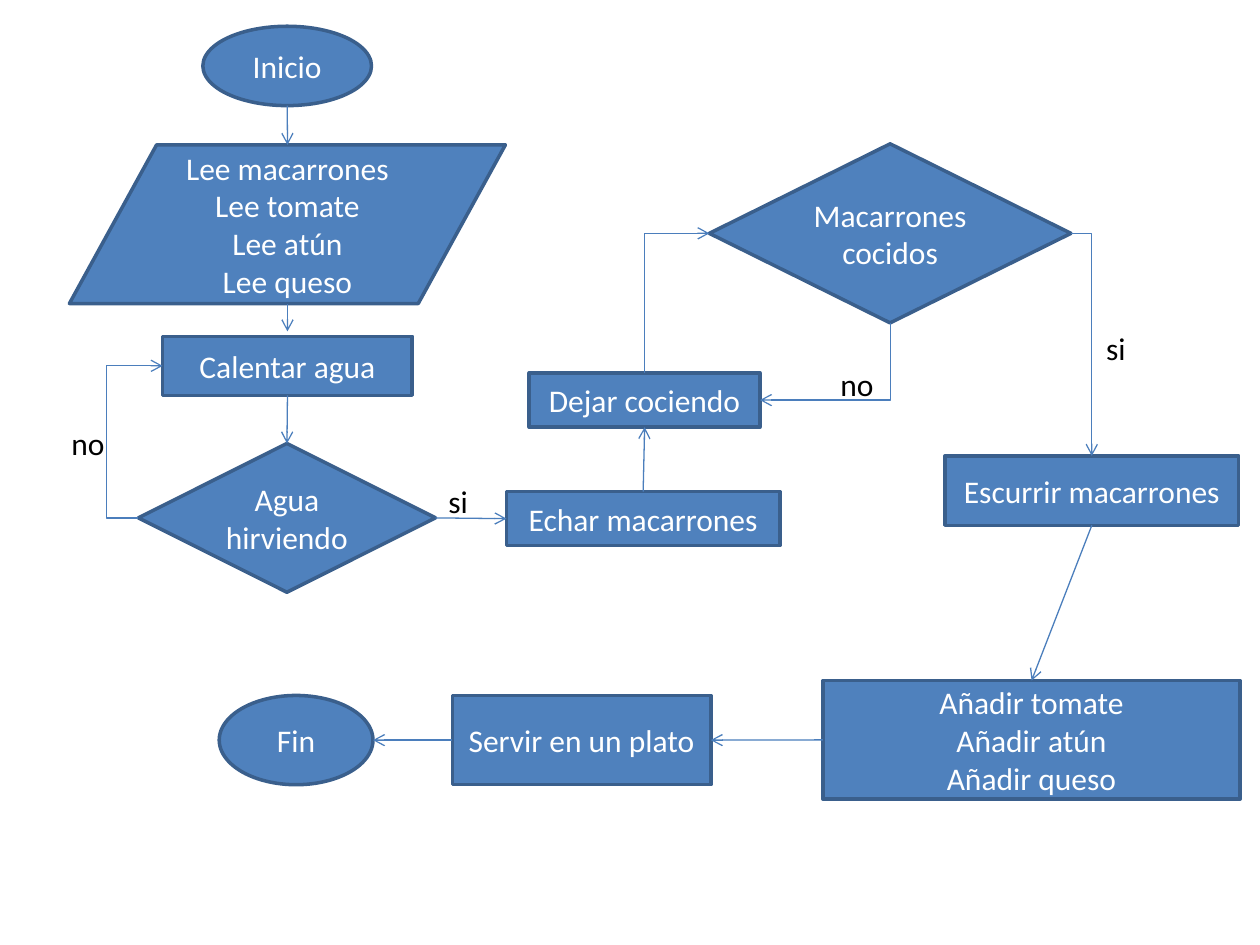
from lxml.etree import SubElement
from pptx import Presentation
from pptx.dml.color import RGBColor
from pptx.enum.shapes import MSO_CONNECTOR, MSO_SHAPE
from pptx.enum.text import MSO_ANCHOR, PP_ALIGN
from pptx.oxml.ns import qn
from pptx.util import Cm, Pt

THEME = {
    "font": "Calibri", "size": Pt(18),
    "fill": "4F81BD", "edge": "3A5F8C", "arrow": "4B7EBC",
    "light": "FFFFFF", "dark": "000000",
    "edge_w": Pt(2), "arrow_w": Pt(0.75),
}

OVAL = MSO_SHAPE.OVAL
DATA = MSO_SHAPE.FLOWCHART_DATA
STEP = MSO_SHAPE.FLOWCHART_PROCESS
TEST = MSO_SHAPE.FLOWCHART_DECISION

# Steps: name -> kind, (left, top, width, height) in cm, lines of text
STEPS = {
    "start": (OVAL, (4.09, 0.53, 3.4, 1.6), ["Inicio"]),
    "read": (DATA, (1.4, 2.92, 8.79, 3.2),
             ["Lee macarrones", "Lee tomate", "Lee atún", "Lee queso"]),
    "heat": (STEP, (3.28, 6.78, 5.03, 1.19), ["Calentar agua"]),
    "boil": (TEST, (2.79, 8.94, 5.99, 3), ["Agua hirviendo"]),
    "pour": (STEP, (10.21, 9.91, 5.51, 1.09), ["Echar macarrones"]),
    "done": (TEST, (14.3, 2.9, 7.29, 3.61), ["Macarrones cocidos"]),
    "drain": (STEP, (19.05, 9.19, 5.92, 1.4), ["Escurrir macarrones"]),
    "cook": (STEP, (10.67, 7.52, 4.65, 1.09), ["Dejar cociendo"]),
    "mix": (STEP, (16.59, 13.72, 8.41, 2.39),
            ["Añadir tomate", "Añadir atún", "Añadir queso"]),
    "end": (OVAL, (4.42, 14.02, 3.1, 1.8), ["Fin"]),
    "serve": (STEP, (9.12, 14.02, 5.21, 1.8), ["Servir en un plato"]),
}

# Straight arrows: from, side, to, side, gap before the tip in cm
LINES = [
    ("start", "bottom", "read", "top", 0),
    ("read", "bottom", "heat", "top", 0.1),
    ("heat", "bottom", "boil", "top", 0),
    ("boil", "right", "pour", "left", 0),
    ("pour", "top", "cook", "bottom", 0),
    ("drain", "bottom", "mix", "top", 0),
    ("mix", "left", "serve", "right", 0),
    ("serve", "left", "end", "right", 0),
]

# Bent arrows: from, side, to, side, preset, turn in degrees, bend
BENDS = [
    ("boil", "left", "heat", "left", "bentConnector3", 180, -1.3),
    ("cook", "top", "done", "left", "bentConnector2", 90, None),
    ("done", "bottom", "cook", "right", "bentConnector2", 90, None),
    ("done", "right", "drain", "top", "bentConnector2", 0, None),
]

# Answers: text, left, top, width in cm
LABELS = [
    ("no", 1.19, 8.43, 1.3),
    ("si", 8.79, 9.6, 1.4),
    ("no", 16.69, 7.24, 1.8),
    ("si", 22.05, 6.5, 0.99),
]
LABEL_H = 1.02

SIDES = {"top": (0.5, 0), "bottom": (0.5, 1), "left": (0, 0.5), "right": (1, 0.5)}


def color(name):
    return RGBColor.from_string(THEME[name])


def write(shape, lines, ink, align):
    frame = shape.text_frame
    frame.word_wrap = True
    frame.text = "\n".join(lines)
    for para in frame.paragraphs:
        para.alignment = align
        for run in para.runs:
            run.font.name = THEME["font"]
            run.font.size = THEME["size"]
            run.font.color.rgb = color(ink)


def add_step(slide, kind, box, lines):
    shape = slide.shapes.add_shape(kind, *map(Cm, box))
    shape.shadow.inherit = False
    shape.fill.solid()
    shape.fill.fore_color.rgb = color("fill")
    shape.line.color.rgb = color("edge")
    shape.line.width = THEME["edge_w"]
    shape.text_frame.vertical_anchor = MSO_ANCHOR.MIDDLE
    write(shape, lines, "light", PP_ALIGN.CENTER)


def port(name, side):
    left, top, width, height = STEPS[name][1]
    x, y = SIDES[side]
    return left + x * width, top + y * height


def add_arrow(slide, kind, x1, y1, x2, y2):
    arrow = slide.shapes.add_connector(kind, Cm(x1), Cm(y1), Cm(x2), Cm(y2))
    arrow.line.color.rgb = color("arrow")
    arrow.line.width = THEME["arrow_w"]
    props = arrow._element.spPr
    SubElement(props.find(qn("a:ln")), qn("a:tailEnd"), type="arrow")
    SubElement(props, qn("a:effectLst"))
    return props


def add_bend(slide, tail, tip, preset, turn, bend):
    # Undo the turn about the centre, so that the turned box meets both ends
    dx, dy = tip[0] - tail[0], tip[1] - tail[1]
    u, v = {0: (dx, dy), 90: (dy, -dx), 180: (-dx, -dy)}[turn]
    cx, cy = (tail[0] + tip[0]) / 2, (tail[1] + tip[1]) / 2
    props = add_arrow(slide, MSO_CONNECTOR.ELBOW,
                      cx - u / 2, cy - v / 2, cx + u / 2, cy + v / 2)
    if turn:
        props.find(qn("a:xfrm")).set("rot", str(turn * 60000))
    shape = props.find(qn("a:prstGeom"))
    shape.set("prst", preset)
    if bend is not None:
        SubElement(shape.find(qn("a:avLst")), qn("a:gd"),
                   name="adj1", fmla=f"val {round(bend * 100000)}")


def main():
    deck = Presentation()
    deck.slide_width, deck.slide_height = Cm(25.4), Cm(19.05)
    slide = deck.slides.add_slide(deck.slide_layouts[6])

    # Steps
    for kind, box, lines in STEPS.values():
        add_step(slide, kind, box, lines)

    # Arrows
    for a, out, b, into, gap in LINES:
        x, y = port(b, into)
        add_arrow(slide, MSO_CONNECTOR.STRAIGHT, *port(a, out), x, y - gap)
    for a, out, b, into, *form in BENDS:
        add_bend(slide, port(a, out), port(b, into), *form)

    # Answers
    for text, left, top, width in LABELS:
        box = slide.shapes.add_textbox(Cm(left), Cm(top), Cm(width), Cm(LABEL_H))
        write(box, [text], "dark", PP_ALIGN.LEFT)

    deck.save("out.pptx")


if __name__ == "__main__":
    main()
